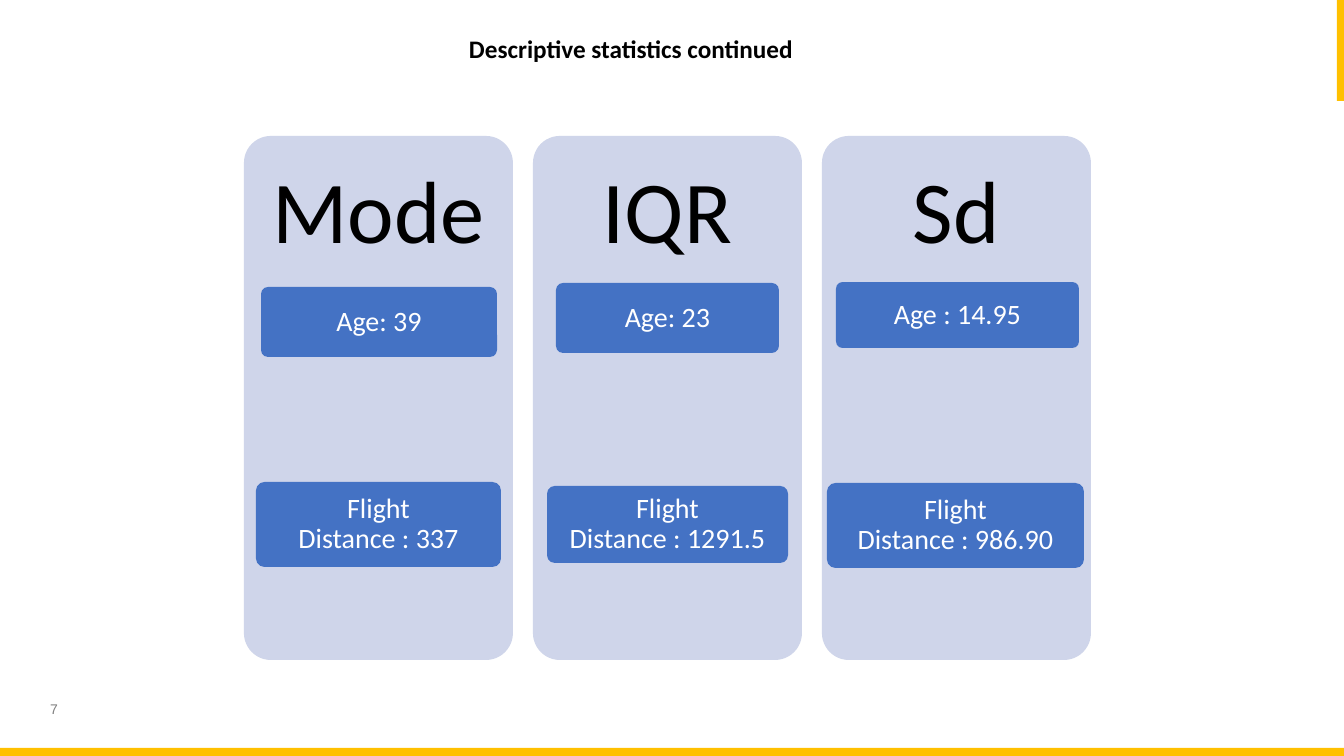
from dataclasses import dataclass

from pptx import Presentation
from pptx.dml.color import RGBColor
from pptx.enum.shapes import MSO_SHAPE
from pptx.enum.text import MSO_ANCHOR, PP_ALIGN
from pptx.util import Emu, Pt

EMU_PER_PX = 914400 / 100.8


def px(length):
    return Emu(round(length * EMU_PER_PX))


@dataclass(frozen=True)
class Theme:
    font: str = "Calibri"
    number_font: str = "Arial"
    accent: str = "FFC000"
    panel: str = "CFD5EA"
    card: str = "4472C4"
    dark: str = "000000"
    light: str = "FFFFFF"
    muted: str = "808080"
    title_size: int = 18
    heading_size: int = 63
    card_size: int = 20
    number_size: int = 10


class SlideBuilder:
    def __init__(self, slide, theme):
        self.slide = slide
        self.theme = theme

    def set_text(self, shape, text, size, color, font=None, bold=False,
                 align=PP_ALIGN.CENTER, spacing=1.0, margins=(10, 5, 10, 5)):
        frame = shape.text_frame
        frame.word_wrap = True
        frame.vertical_anchor = MSO_ANCHOR.MIDDLE
        frame.margin_left, frame.margin_top, frame.margin_right, frame.margin_bottom = map(px, margins)
        paragraph = frame.paragraphs[0]
        paragraph.text = text
        paragraph.alignment = align
        paragraph.line_spacing = spacing
        paragraph.font.name = font or self.theme.font
        paragraph.font.size = Pt(size)
        paragraph.font.bold = bold
        paragraph.font.color.rgb = RGBColor.from_string(color)

    def box(self, kind, bounds, color):
        shape = self.slide.shapes.add_shape(kind, *map(px, bounds))
        shape.shadow.inherit = False
        shape.fill.solid()
        shape.fill.fore_color.rgb = RGBColor.from_string(color)
        shape.line.fill.background()
        return shape

    def bar(self, bounds):
        self.box(MSO_SHAPE.RECTANGLE, bounds, self.theme.accent)

    def rounded(self, bounds, color):
        shape = self.box(MSO_SHAPE.ROUNDED_RECTANGLE, bounds, color)
        shape.adjustments[0] = 0.1
        return shape

    def panel(self, bounds, heading, heading_height):
        shape = self.rounded(bounds, self.theme.panel)
        self.set_text(shape, heading, self.theme.heading_size, self.theme.dark, spacing=0.9,
                      margins=(0, 0, 0, bounds[3] - heading_height))

    def card(self, bounds, text):
        shape = self.rounded(bounds, self.theme.card)
        self.set_text(shape, text, self.theme.card_size, self.theme.light, spacing=0.9,
                      margins=(6, 4, 6, 4))

    def title(self, bounds, text):
        shape = self.slide.shapes.title
        shape.left, shape.top, shape.width, shape.height = map(px, bounds)
        self.set_text(shape, text, self.theme.title_size, self.theme.dark, bold=True,
                      align=PP_ALIGN.LEFT)

    def slide_number(self, bounds, text):
        shape = self.slide.shapes.add_textbox(*map(px, bounds))
        self.set_text(shape, text, self.theme.number_size, self.theme.muted,
                      font=self.theme.number_font)


PANEL_LEFT, PANEL_TOP, PANEL_WIDTH, PANEL_HEIGHT = 244, 136, 269, 524
PANEL_STEP = 289
HEADING_HEIGHT = 157

# Heading, then the cards with their bounds
STATISTICS = [
    ("Mode", [("Age: 39", (261, 287, 236, 70)),
              ("Flight\nDistance : 337", (256, 482, 245, 85))]),
    ("IQR", [("Age: 23", (556, 283, 223, 70)),
             ("Flight\nDistance : 1291.5", (547, 486, 241, 77))]),
    ("Sd", [("Age : 14.95", (836, 282, 243, 66)),
            ("Flight\nDistance : 986.90", (827, 483, 257, 85))]),
]


def main():
    presentation = Presentation()
    presentation.slide_width, presentation.slide_height = px(1344), px(756)
    slide = presentation.slides.add_slide(presentation.slide_layouts[5])
    builder = SlideBuilder(slide, Theme())

    # Page furniture
    builder.slide_number((16, 689, 76, 40), "7")
    builder.bar((1337, 0, 7, 101))
    builder.bar((0, 748, 1344, 8))

    # One panel per statistic
    for column, (heading, cards) in enumerate(STATISTICS):
        left = PANEL_LEFT + column * PANEL_STEP
        builder.panel((left, PANEL_TOP, PANEL_WIDTH, PANEL_HEIGHT), heading, HEADING_HEIGHT)
        for text, bounds in cards:
            builder.card(bounds, text)

    # Title
    builder.title((459, 28, 482, 41), "Descriptive statistics continued")

    presentation.save("out.pptx")


if __name__ == "__main__":
    main()
